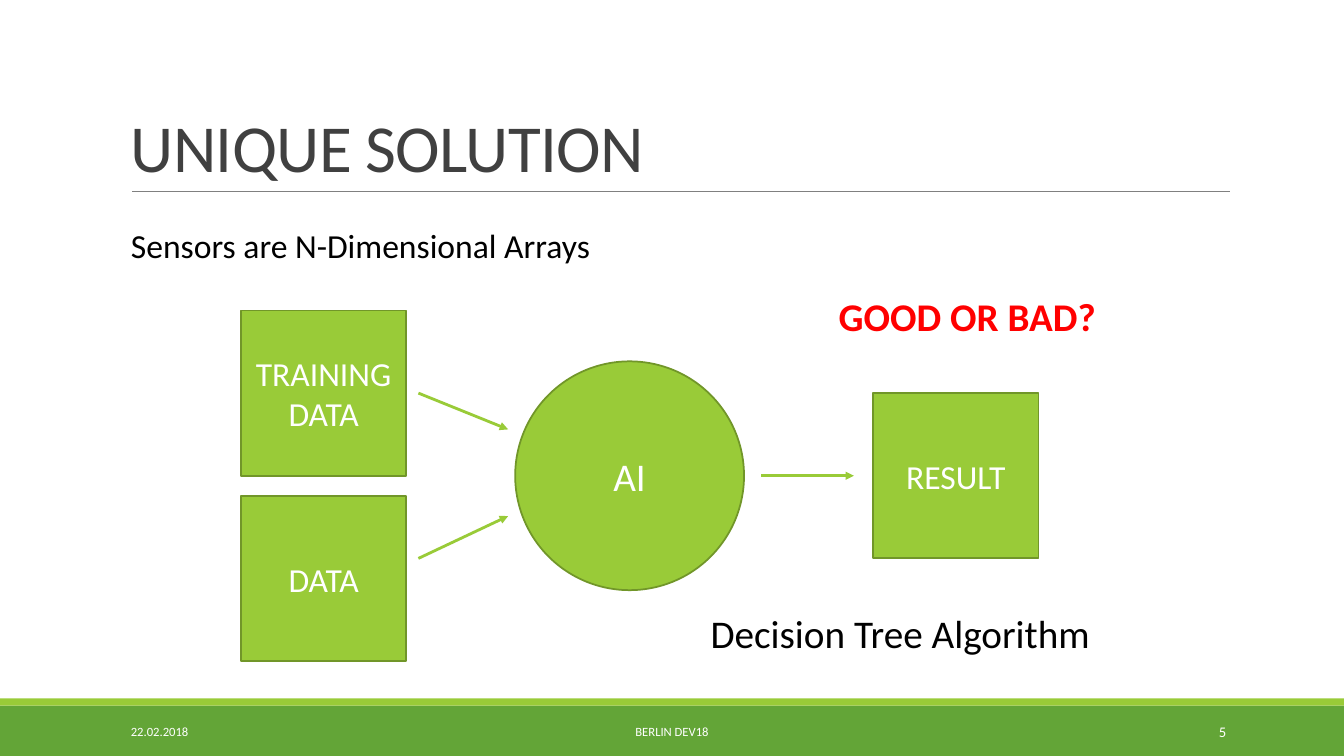
from collections import namedtuple

from lxml import etree
from pptx import Presentation
from pptx import util as u
from pptx.dml.color import RGBColor
from pptx.enum import shapes, text
from pptx.oxml import ns

Box = namedtuple("Box", "left top width height")
PAGE = Box(0, 0, 13.33, 7.5)

WHITE = RGBColor(0xFF, 0xFF, 0xFF)
BLACK = RGBColor(0, 0, 0)
RED = RGBColor(0xFF, 0, 0)
GREY = RGBColor(0x80, 0x80, 0x80)
CHARCOAL = RGBColor(0x40, 0x40, 0x40)
LIME = RGBColor(0x99, 0xCB, 0x38)
OLIVE = RGBColor(0x71, 0x96, 0x29)
GREEN = RGBColor(0x63, 0xA5, 0x37)

LEFT, CENTER, RIGHT = text.PP_ALIGN.LEFT, text.PP_ALIGN.CENTER, text.PP_ALIGN.RIGHT
TOP, MIDDLE, BOTTOM = text.MSO_ANCHOR.TOP, text.MSO_ANCHOR.MIDDLE, text.MSO_ANCHOR.BOTTOM
RECTANGLE, OVAL = shapes.MSO_SHAPE.RECTANGLE, shapes.MSO_SHAPE.OVAL


def inches(values):
    return [u.Inches(value) for value in values]


def apply(target, formats):
    for name, value in formats.items():
        setattr(target, name, value)


def write(shape, words, size, color, align=LEFT, anchor=TOP, bold=False,
          para_format=None, frame_format=None):
    """Fill a shape with one paragraph; a newline in words breaks the line."""
    frame = shape.text_frame
    apply(frame, {"word_wrap": True, "vertical_anchor": anchor, **(frame_format or {})})
    para = frame.paragraphs[0]
    apply(para, {"alignment": align, **(para_format or {})})
    for index, line in enumerate(words.split("\n")):
        if index:
            para.add_line_break()
        span = para.add_run()
        span.text = line
        apply(span.font, {"name": "Calibri", "size": u.Pt(size), "bold": bold})
        span.font.color.rgb = color
    return para


def add_label(page, box, words, size, color, **options):
    return write(page.shapes.add_textbox(*inches(box)), words, size, color, **options)


def add_block(page, kind, box, fill, outline=None):
    block = page.shapes.add_shape(kind, *inches(box))
    block.shadow.inherit = False
    block.fill.solid()
    block.fill.fore_color.rgb = fill
    if outline is None:
        block.line.fill.background()
    else:
        block.line.color.rgb = outline
        block.line.width = u.Pt(1.25)
    return block


def add_line(page, start, end, color, width, arrow=False):
    line = page.shapes.add_connector(shapes.MSO_CONNECTOR.STRAIGHT, *inches(start + end))
    line.line.color.rgb = color
    line.line.width = u.Pt(width)
    if arrow:
        outline = line.line._get_or_add_ln()
        etree.SubElement(outline, ns.qn("a:tailEnd"), type="triangle")
    etree.SubElement(line._element.spPr, ns.qn("a:effectLst"))


def add_footer(page, box):
    stripe = 0.07
    add_block(page, RECTANGLE, box, GREEN)
    add_block(page, RECTANGLE, Box(box.left, box.top - stripe, box.width, stripe), LIME)
    entries = [
        (1.2, 2.7, "22.02.2018", 9, LEFT),
        (4.03, 5.27, "BERLIN DEV18", 9, CENTER),
        (10.83, 1.43, "5", 10.5, RIGHT),
    ]
    for left, width, words, size, align in entries:
        cell = Box(box.left + left, box.top + 0.06, width, 0.4)
        add_label(page, cell, words, size, WHITE, align=align, anchor=MIDDLE)


def add_heading(page, box):
    bottom = box.top + box.height
    add_line(page, (box.left + 0.11, bottom), (box.left + box.width, bottom), GREY, 0.5)
    title = add_label(page, box, "UNIQUE SOLUTION", 48, CHARCOAL, anchor=BOTTOM,
                      para_format={"line_spacing": 0.85})
    title.runs[0].font._element.set("spc", "-50")


def add_statement(page, box):
    add_label(page, box, "Sensors are N-Dimensional Arrays", 24, BLACK,
              para_format={"line_spacing": 0.9, "space_before": u.Pt(12),
                           "space_after": u.Pt(2)},
              frame_format={"margin_left": u.Inches(0.1), "margin_right": 0})


def add_flow(page, box):
    """Two inputs on the left, the AI circle, and the result on the right."""
    side, circle = 1.64, 2.27
    axis = side
    right, low = box.width - side, box.height - side
    nodes = [
        (RECTANGLE, 0, 0, side, "TRAINING\nDATA", 24),
        (RECTANGLE, 0, low, side, "DATA", 24),
        (OVAL, 2.72, axis - circle / 2, circle, "AI", 28),
        (RECTANGLE, right, axis - side / 2, side, "RESULT", 24),
    ]
    for kind, x, y, size, words, points in nodes:
        node = add_block(page, kind, Box(box.left + x, box.top + y, size, size), LIME, OLIVE)
        write(node, words, points, WHITE, align=CENTER, anchor=MIDDLE)

    arrows = [
        (1.76, axis - side / 2, 2.65, axis - 0.46),
        (1.76, axis + side / 2, 2.65, axis + 0.4),
        (5.16, axis, 6.08, axis),
    ]
    for x1, y1, x2, y2 in arrows:
        add_line(page, (box.left + x1, box.top + y1), (box.left + x2, box.top + y2),
                 LIME, 2, arrow=True)

    captions = [
        (5.83, -0.23, 2.78, "GOOD OR BAD?", RED, True),
        (4.56, 2.92, 4, "Decision Tree Algorithm", BLACK, False),
    ]
    for x, y, width, words, color, bold in captions:
        add_label(page, Box(box.left + x, box.top + y, width, 0.57), words, 28, color,
                  bold=bold, frame_format={
                      "word_wrap": False,
                      "auto_size": text.MSO_AUTO_SIZE.SHAPE_TO_FIT_TEXT})


def main():
    deck = Presentation()
    deck.slide_width, deck.slide_height = inches((PAGE.width, PAGE.height))
    page = deck.slides.add_slide(deck.slide_layouts[6])
    add_footer(page, Box(0, 7, PAGE.width, 0.5))
    add_heading(page, Box(1.2, 0.31, 11, 1.59))
    add_statement(page, Box(1.2, 2.23, 5.2, 0.56))
    add_flow(page, Box(2.39, 3.08, 7.91, 3.48))
    deck.save("out.pptx")


if __name__ == "__main__":
    main()
